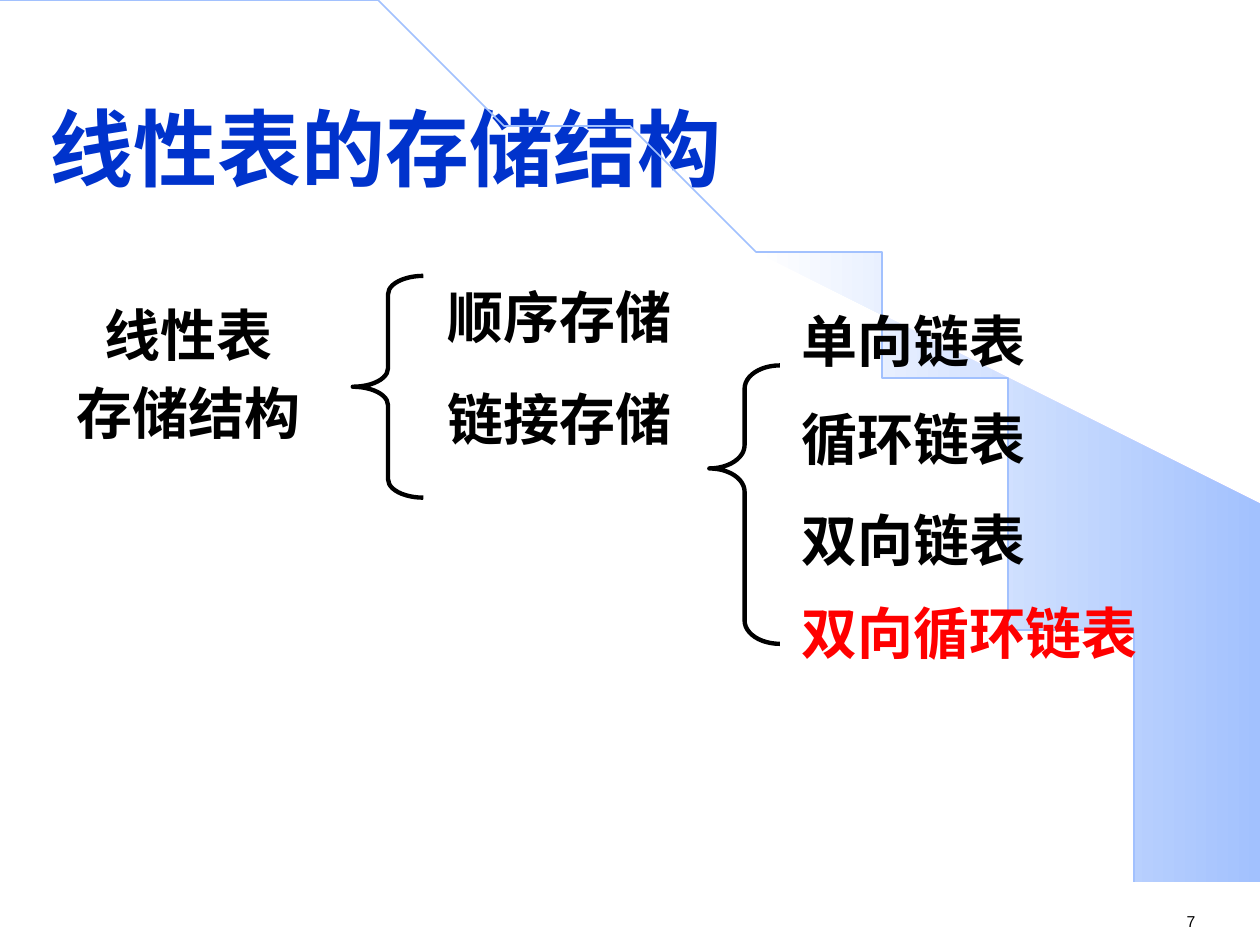
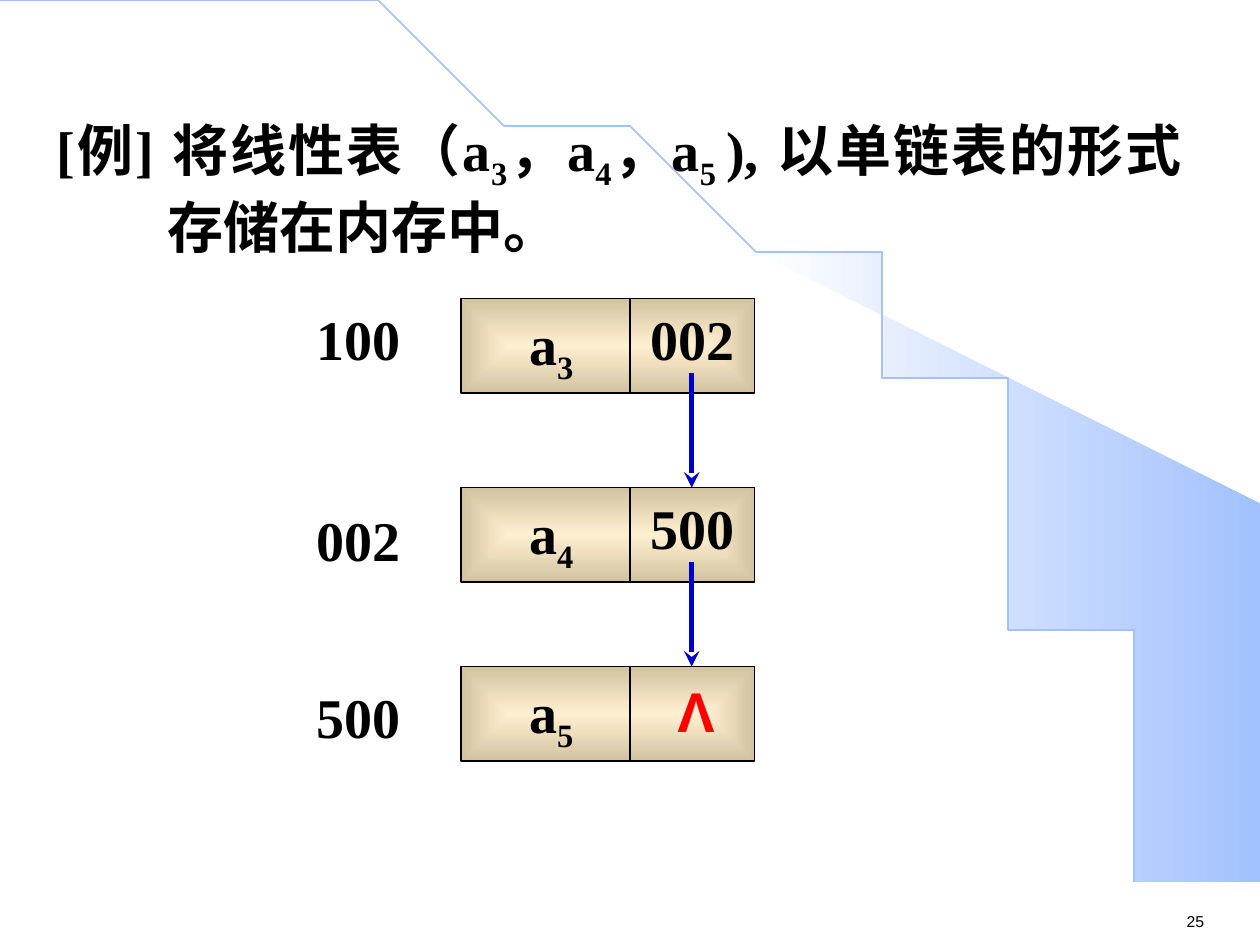
import math
from dataclasses import dataclass

import lxml.etree
import pptx
import pptx.dml.color
import pptx.enum.shapes
import pptx.enum.text
import pptx.oxml.ns
import pptx.util

qn = pptx.oxml.ns.qn
ALIGN = pptx.enum.text.PP_ALIGN
ANCHOR = pptx.enum.text.MSO_ANCHOR
SHAPE = pptx.enum.shapes.MSO_SHAPE

# Content
STORAGE_TITLE = "线性表的存储结构"
STORAGE_PAGE = "7"
ROOT = ["线性表", "存储结构"]
STORAGE_KINDS = ["顺序存储", "链接存储"]
LINKED_LISTS = [("单向链表", 2.55), ("循环链表", 3.33),
                ("双向链表", 4.13), ("双向循环链表", 4.87)]
# left, top, width, height, curl, tip share
BRACES = [(2.8, 2.19, 0.56, 1.76, 0.26, 0.5), (5.63, 2.9, 0.56, 2.21, 0.33, 0.37)]

EXAMPLE_PAGE = "25"
# Every second piece is a subscript
EXAMPLE = ["[例] 将线性表（a", "3", "，a", "4", "，a", "5 ",
           "), 以单链表的形式存储在内存中。"]
NULL = "Λ"
# address, address offset, element index, link, node top
NODES = [("100", 0, "3", "002", 2.37),
         ("002", 0.09, "4", "500", 3.87),
         ("500", 0.08, "5", NULL, 5.29)]

# Geometry in inches
SLIDE_W, SLIDE_H = 10, 7.5
ARC_W, ARC_H = 9.2, 7.49
BEAM_START_X, BEAM_RIGHT_Y = 5.89, 4.23
NODE_X, NODE_W, NODE_H = 3.66, 2.33, 0.75
DIVIDER_X, ARROW_X, ARROW_OFFSET = 5, 5.49, 0.59


@dataclass(frozen=True)
class Theme:
    title: str = "0033CC"
    text: str = "000000"
    accent: str = "FF0000"
    arrow: str = "0000CC"
    band: tuple = ("FFFFFF", "A2C1FE")
    node: tuple = ("FFEFD1", "D1C39F")
    cjk: str = "Noto Sans CJK SC"
    serif: str = "Times New Roman"
    sans: str = "Arial"
    title_size: int = 48
    body_size: int = 32
    page_size: int = 9
    gap: int = 20


THEME = Theme()


def rgb(value):
    return pptx.dml.color.RGBColor.from_string(value)


def inches(*lengths):
    return [pptx.util.Inches(length) for length in lengths]


def style_run(run, size, font, color, bold):
    run.font.size = pptx.util.Pt(size)
    run.font.name = font
    run.font.bold = bold
    run.font.color.rgb = rgb(color)
    east_asian = lxml.etree.Element(qn("a:ea"), typeface=THEME.cjk)
    run.font._element.find(qn("a:latin")).addnext(east_asian)


def style_frame(frame, size=THEME.body_size, font=THEME.cjk, color=THEME.text,
                bold=True, align=ALIGN.LEFT, spacing=1.0, gap=THEME.gap):
    frame.word_wrap = True
    frame.vertical_anchor = ANCHOR.TOP
    for number, paragraph in enumerate(frame.paragraphs):
        paragraph.alignment = align
        paragraph.line_spacing = spacing
        paragraph.space_before = pptx.util.Pt(gap if number else 0)
        for run in paragraph.runs:
            style_run(run, size, font, color, bold)


def add_text(slide, at, lines, **style):
    frame = slide.shapes.add_textbox(*inches(*at)).text_frame
    frame.text = "\n".join(lines)
    style_frame(frame, **style)
    return frame


def add_indexed_text(slide, at, pieces, **style):
    """Add one paragraph whose odd pieces are subscripts."""
    frame = slide.shapes.add_textbox(*inches(*at)).text_frame
    paragraph = frame.paragraphs[0]
    for number, piece in enumerate(pieces):
        run = paragraph.add_run()
        run.text = piece
        if number % 2:
            run.font._element.set("baseline", "-25000")
    style_frame(frame, font=THEME.serif, **style)
    return paragraph


def fill_gradient(shape, colors, from_center=False):
    shape.fill.gradient()
    shape.fill.gradient_angle = 0
    for stop, color in zip(shape.fill.gradient_stops, colors):
        stop.color.rgb = rgb(color)
    if from_center:
        gradient = shape.element.spPr.find(qn("a:gradFill"))
        gradient.remove(gradient.find(qn("a:lin")))
        center = lxml.etree.SubElement(gradient, qn("a:path"), {"path": "rect"})
        lxml.etree.SubElement(center, qn("a:fillToRect"),
                              {side: "50000" for side in "ltrb"})


def set_line(shape, color, width):
    shape.line.color.rgb = rgb(color)
    shape.line.width = pptx.util.Pt(width)


def add_line(slide, ends, color, width, arrow=False):
    line = slide.shapes.add_connector(
        pptx.enum.shapes.MSO_CONNECTOR.STRAIGHT, *inches(*ends))
    set_line(line, color, width)
    properties = line.element.spPr
    if arrow:
        lxml.etree.SubElement(properties.find(qn("a:ln")), qn("a:tailEnd"),
                              type="stealth")
    lxml.etree.SubElement(properties, qn("a:effectLst"))


def arc_points(start, steps):
    """Points on the quarter ellipse from angle start to its lower end."""
    angles = [start + (math.pi / 2 - start) * i / steps for i in range(steps + 1)]
    return [(ARC_W * math.sin(a), ARC_H * (1 - math.cos(a))) for a in angles]


def add_outline(slide, points, close):
    builder = slide.shapes.build_freeform(
        *points[0], scale=pptx.util.Inches(1))
    builder.add_line_segments(points[1:], close=close)
    outline = builder.convert_to_shape()
    outline.shadow.inherit = False
    return outline


def add_slide(deck, layout, page):
    """Add a slide with the shared beam, arc and page number."""
    slide = deck.slides.add_slide(deck.slide_layouts.get_by_name(layout))
    edge = arc_points(math.asin(BEAM_START_X / ARC_W), 30)
    beam = add_outline(
        slide, edge + [(SLIDE_W, ARC_H), (SLIDE_W, BEAM_RIGHT_Y)], True)
    fill_gradient(beam, THEME.band)
    beam.line.fill.background()
    arc = add_outline(slide, arc_points(0, 60), False)
    arc.fill.background()
    set_line(arc, THEME.band[1], 1)
    add_text(slide, (9.32, 7.19, 0.6, 0.25), [page], size=THEME.page_size,
             font=THEME.sans, bold=False)
    return slide


def add_brace(slide, left, top, width, height, curl, tip):
    brace = slide.shapes.add_shape(
        SHAPE.LEFT_BRACE, *inches(left, top, width, height))
    brace.adjustments[0], brace.adjustments[1] = curl, tip
    brace.shadow.inherit = False
    brace.fill.background()
    set_line(brace, THEME.text, 2.5)


def build_storage_slide(deck):
    slide = add_slide(deck, "Title Only", STORAGE_PAGE)
    title = slide.shapes.title
    title.left, title.top, title.width, title.height = inches(0.29, 0.4, 6.99, 1.22)
    title.text_frame.text = STORAGE_TITLE
    style_frame(title.text_frame, size=THEME.title_size, color=THEME.title,
                spacing=1.4)
    for brace in BRACES:
        add_brace(slide, *brace)
    add_text(slide, (0.29, 2.5, 2.42, 1.07), ROOT, align=ALIGN.CENTER, spacing=0.65)
    add_text(slide, (3.45, 2.19, 2.22, 1.45), STORAGE_KINDS)
    for name, top in LINKED_LISTS:
        color = THEME.accent if name == LINKED_LISTS[-1][0] else THEME.text
        add_text(slide, (6.26, top, 3.43, 0.45), [name], color=color, spacing=0.65)


def add_node(slide, address, address_offset, index, link, top):
    box = slide.shapes.add_shape(
        SHAPE.RECTANGLE, *inches(NODE_X, top, NODE_W, NODE_H))
    box.shadow.inherit = False
    fill_gradient(box, THEME.node, from_center=True)
    set_line(box, THEME.text, 1)
    add_line(slide, (DIVIDER_X, top, DIVIDER_X, top + NODE_H), THEME.text, 1)
    add_indexed_text(slide, (3.75, top + 0.09, 1.25, 0.59), ["a", index],
                     align=ALIGN.CENTER, spacing=0.8)
    add_text(slide, (2.41, top + address_offset, 0.92, 0.64), [address],
             font=THEME.serif)
    if link == NULL:
        frame = add_text(slide, (5.25, top + 0.12, 0.55, 0.49), [link],
                         font=THEME.sans, color=THEME.accent,
                         align=ALIGN.CENTER, spacing=pptx.util.Pt(35))
        frame.margin_left = frame.margin_right = 0
        frame.margin_top = frame.margin_bottom = 0
        frame.vertical_anchor = ANCHOR.BOTTOM
    else:
        add_text(slide, (DIVIDER_X, top, 1, 0.64), [link], font=THEME.serif,
                 align=ALIGN.CENTER)


def build_example_slide(deck):
    slide = add_slide(deck, "Blank", EXAMPLE_PAGE)
    example = add_indexed_text(slide, (0.35, 0.87, 9.13, 1.4), EXAMPLE,
                               align=ALIGN.JUSTIFY)
    hanging = pptx.util.Inches(0.88)
    example._p.pPr.set("marL", str(hanging))
    example._p.pPr.set("indent", str(-hanging))
    for node in NODES:
        add_node(slide, *node)
    tops = [node[-1] for node in NODES]
    for top, next_top in zip(tops, tops[1:]):
        add_line(slide, (ARROW_X, top + ARROW_OFFSET, ARROW_X, next_top),
                 THEME.arrow, 3, arrow=True)


def main():
    deck = pptx.Presentation()
    deck.slide_width, deck.slide_height = inches(SLIDE_W, SLIDE_H)
    build_storage_slide(deck)
    build_example_slide(deck)
    deck.save("out.pptx")


if __name__ == "__main__":
    main()
